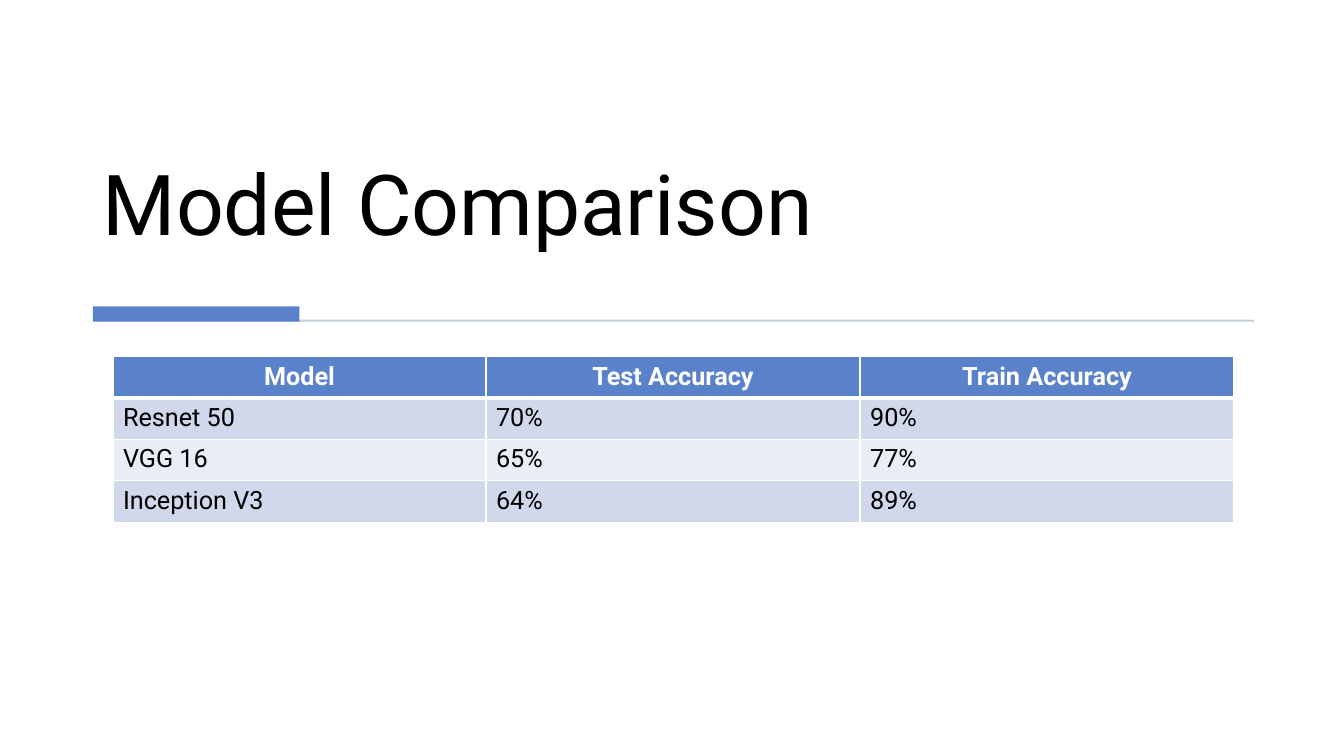
from lxml import etree
from pptx import Presentation
from pptx.dml.color import RGBColor
from pptx.enum.shapes import MSO_SHAPE
from pptx.enum.text import MSO_ANCHOR, PP_ALIGN
from pptx.oxml.ns import qn
from pptx.util import Emu, Pt

RECTANGLE = MSO_SHAPE.RECTANGLE
BOTTOM = MSO_ANCHOR.BOTTOM
LEFT, CENTER = PP_ALIGN.LEFT, PP_ALIGN.CENTER
EMU_PER_PX = 9144
FONT = "Roboto"
BLACK, WHITE, BLUE, GREY = "000000", "FFFFFF", "5A82CB", "C3CCD9"
BANDS = ("D2D8EC", "EAEDF6")
COLUMN_WIDTHS = (370, 371, 371)
ROW_HEIGHT = 41
ACCURACY_ROWS = (
    ("Model", "Test Accuracy", "Train Accuracy"),
    ("Resnet 50", "70%", "90%"),
    ("VGG 16", "65%", "77%"),
    ("Inception V3", "64%", "89%"),
)


def px(length):
    """Turn a length in px into EMU."""
    return Emu(length * EMU_PER_PX)


def color(value):
    """Turn a hex string into a colour."""
    return RGBColor.from_string(value)


def add_span(para, text, size, ink, bold=False):
    """Add one run of styled text to a paragraph."""
    span = para.add_run()
    span.text = text
    span.font.name = FONT
    span.font.size = Pt(size)
    span.font.bold = bold
    span.font.color.rgb = color(ink)


def add_title(page, text, left, top, width, height):
    """Add the slide title, resting on the bottom of its box."""
    box = page.shapes.add_textbox(px(left), px(top), px(width), px(height))
    box.text_frame.word_wrap = True
    box.text_frame.vertical_anchor = BOTTOM
    para = box.text_frame.paragraphs[0]
    para.line_spacing = 0.9
    add_span(para, text, 60, BLACK)


def add_bar(page, fill, left, top, width, height):
    """Add a plain filled bar without an outline."""
    bar = page.shapes.add_shape(RECTANGLE, px(left), px(top), px(width), px(height))
    bar.shadow.inherit = False
    bar.fill.solid()
    bar.fill.fore_color.rgb = color(fill)
    bar.line.fill.background()


def add_borders(cell, top_width, bottom_width):
    """Give a cell white borders of the given point widths."""
    properties = cell._tc.get_or_add_tcPr()
    widths = {"a:lnL": 1, "a:lnR": 1, "a:lnT": top_width, "a:lnB": bottom_width}
    for side, width in widths.items():
        line = etree.SubElement(properties, qn(side), w=str(Pt(width)))
        fill = etree.SubElement(line, qn("a:solidFill"))
        etree.SubElement(fill, qn("a:srgbClr"), val=WHITE)


def fill_cell(cell, text, row_index):
    """Style and write a cell as header or banded body."""
    header = row_index == 0
    add_borders(cell, 3 if row_index == 1 else 1, 3 if header else 1)
    cell.fill.solid()
    cell.fill.fore_color.rgb = color(BLUE if header else BANDS[(row_index - 1) % 2])
    para = cell.text_frame.paragraphs[0]
    para.alignment = CENTER if header else LEFT
    add_span(para, text, 18, WHITE if header else BLACK, header)


def add_accuracy_table(page, left, top):
    """Add the table of model accuracies."""
    height = ROW_HEIGHT * len(ACCURACY_ROWS)
    table = page.shapes.add_table(
        len(ACCURACY_ROWS), len(COLUMN_WIDTHS),
        px(left), px(top), px(sum(COLUMN_WIDTHS)), px(height),
    ).table
    for column, width in zip(table.columns, COLUMN_WIDTHS):
        column.width = px(width)
    for row_index, texts in enumerate(ACCURACY_ROWS):
        table.rows[row_index].height = px(ROW_HEIGHT)
        for column_index, text in enumerate(texts):
            fill_cell(table.cell(row_index, column_index), text, row_index)


def main():
    """Build the model comparison slide."""
    deck = Presentation()
    deck.slide_width, deck.slide_height = px(1333), px(750)
    page = deck.slides.add_slide(deck.slide_layouts[6])
    page.background.fill.solid()
    page.background.fill.fore_color.rgb = color(WHITE)
    add_title(page, "Model Comparison", 92, 47, 1149, 210)
    add_bar(page, GREY, 95, 317, 1149, 2)
    add_bar(page, BLUE, 92, 304, 205, 15)
    add_accuracy_table(page, 112, 354)
    deck.save("out.pptx")


if __name__ == "__main__":
    main()
